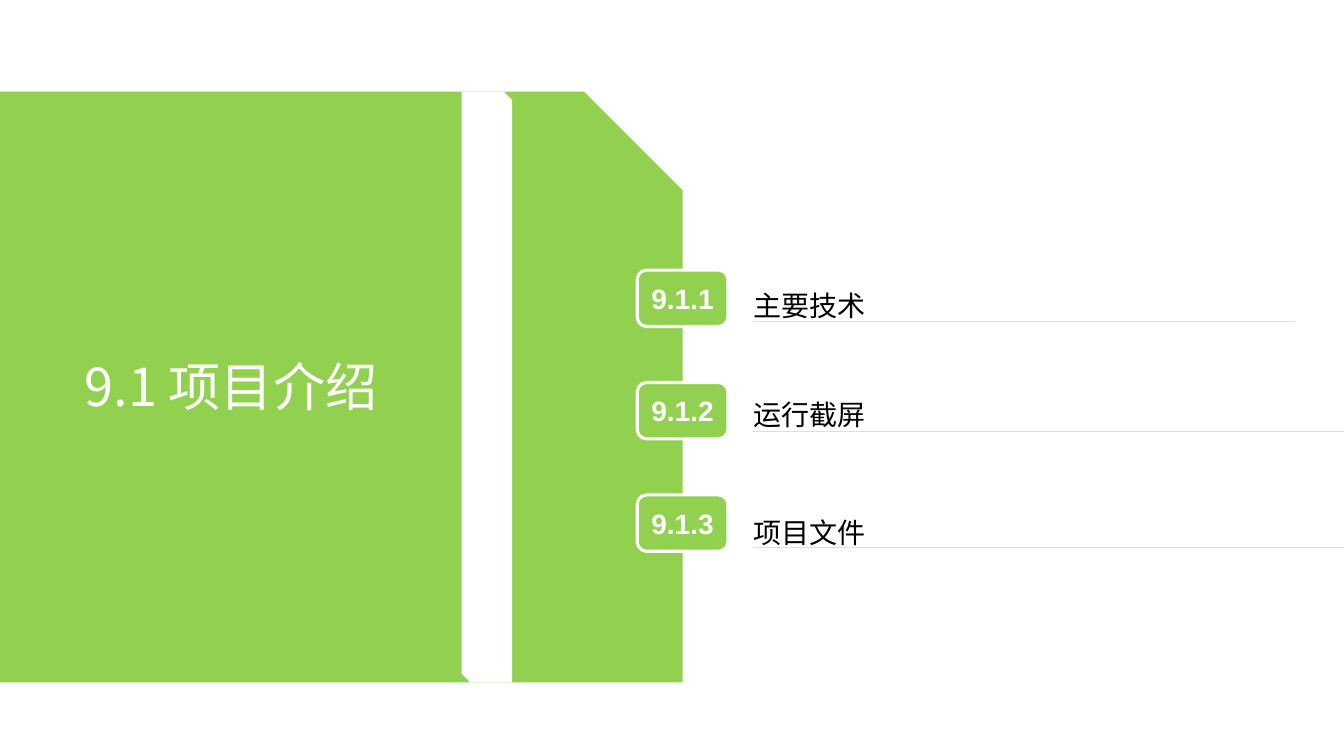
from pptx import Presentation
from pptx import util as u
from pptx.dml.color import RGBColor
from pptx.enum import shapes, text
from pptx.oxml.ns import qn
from lxml import etree

TITLE = "9.1 项目介绍"
ITEMS = [
    {"num": "9.1.1", "name": "主要技术", "top": 286, "base": 319, "end": 1284, "lead": 1.0},
    {"num": "9.1.2", "name": "运行截屏", "top": 395, "base": 428, "end": 1376, "lead": 1.0},
    {"num": "9.1.3", "name": "项目文件", "top": 503, "base": 543, "end": 1405, "lead": 1.3},
]
THEME = {
    "green": "92D050", "white": "FFFFFF", "black": "000000",
    "cjk": "Noto Sans CJK SC", "num": "Arial",
    "head": 37.3, "body": 20, "edge": 2.25,
}
PX = 9144
WIDE, HIGH = 1333, 750
BAND = {"top": 91, "high": 586}
TAG = {"left": 632, "top": 268, "step": 111.5, "wide": 90, "high": 56}
LEFT = 747


def px(*nums):
    return [u.Emu(round(n * PX)) for n in nums]


def tint(name):
    return RGBColor.from_string(THEME[name])


def paint(form, fill, edge=None):
    form.shadow.inherit = False
    form.fill.solid()
    form.fill.fore_color.rgb = tint(fill)
    if edge:
        form.line.color.rgb = tint(edge)
        form.line.width = u.Pt(THEME["edge"])
    else:
        form.line.fill.background()
    return form


def block(kind, box, fill, edge=None):
    return paint(slide.shapes.add_shape(kind, *px(*box)), fill, edge)


def rule(top, base, end):
    pen = slide.shapes.build_freeform(LEFT, base, scale=PX)
    pen.add_line_segments([(end, base), (LEFT, base)], close=True)
    pen.move_to(LEFT, top)
    pen.add_line_segments([(LEFT, top)], close=True)
    return paint(pen.convert_to_shape(), "black")


def frame(form, align, inset=0):
    body = form.text_frame
    body.word_wrap = True
    body.vertical_anchor = text.MSO_ANCHOR.MIDDLE
    body.margin_left = body.margin_right = px(inset)[0]
    body.margin_top = body.margin_bottom = 0
    para = body.paragraphs[0]
    para.alignment = align
    return para


def write(para, words, size, face, color, bold=False):
    run = para.add_run()
    run.text = words
    font = run.font
    font.size, font.name, font.bold = u.Pt(THEME[size]), THEME[face], bold
    font.color.rgb = tint(color)
    mark = etree.SubElement(run._r.get_or_add_rPr(), qn("a:ea"))
    mark.set("typeface", THEME[face])


deck = Presentation()
deck.slide_width, deck.slide_height = px(WIDE, HIGH)
slide = deck.slides.add_slide(deck.slide_layouts[6])
KIND, ALIGN = shapes.MSO_SHAPE, text.PP_ALIGN

block(KIND.SNIP_1_RECTANGLE, (-3, BAND["top"], 680, BAND["high"]), "green")

for i, item in enumerate(ITEMS):
    spot = (TAG["left"], TAG["top"] + i * TAG["step"], TAG["wide"], TAG["high"])
    tag = block(KIND.ROUNDED_RECTANGLE, spot, "green", "white")
    write(frame(tag, ALIGN.CENTER), item["num"], "body", "num", "white", True)

    para = frame(rule(item["top"], item["base"], item["end"]), ALIGN.LEFT)
    para.line_spacing = item["lead"]
    write(para, item["name"], "body", "cjk", "black")

para = frame(slide.shapes.add_textbox(*px(74, 341, 396, 84)), ALIGN.LEFT, 10)
write(para, TITLE, "head", "cjk", "white")

block(KIND.SNIP_2_DIAG_RECTANGLE, (458, BAND["top"], 50, BAND["high"]), "white")

deck.save("out.pptx")
